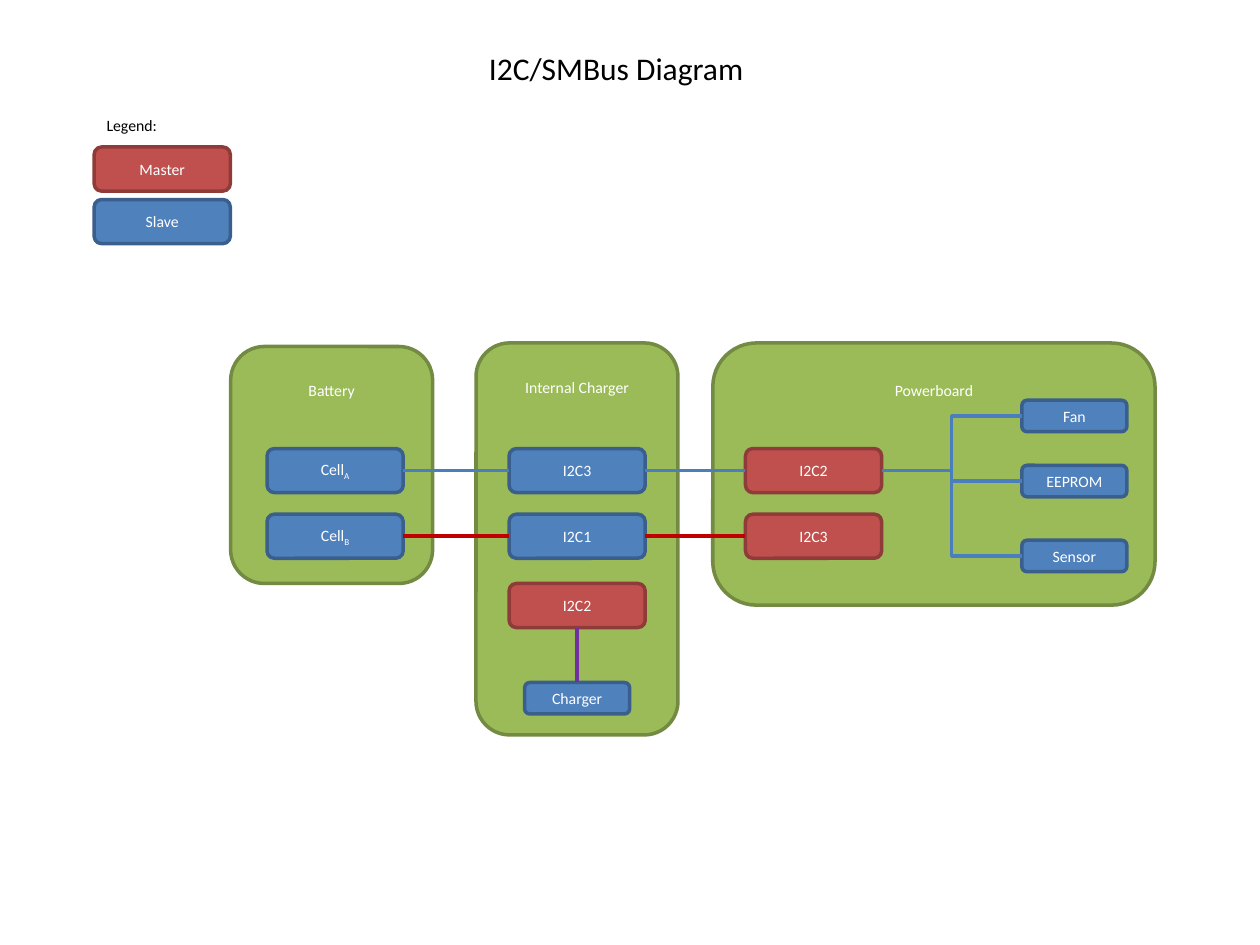
from dataclasses import dataclass

from lxml import etree
from pptx import Presentation
from pptx.dml.color import RGBColor
from pptx.enum.shapes import MSO_CONNECTOR, MSO_SHAPE
from pptx.enum.text import MSO_ANCHOR, PP_ALIGN
from pptx.oxml.ns import qn
from pptx.util import Pt

ROUNDED = MSO_SHAPE.ROUNDED_RECTANGLE
STRAIGHT, ELBOW = MSO_CONNECTOR.STRAIGHT, MSO_CONNECTOR.ELBOW
LEFT, CENTER = PP_ALIGN.LEFT, PP_ALIGN.CENTER
TOP, MIDDLE = MSO_ANCHOR.TOP, MSO_ANCHOR.MIDDLE
SIDE_TOP, SIDE_LEFT, SIDE_BOTTOM, SIDE_RIGHT = range(4)


@dataclass(frozen=True)
class Theme:
    font: str = "Calibri"
    title_size: int = 18
    text_size: int = 9
    line_width: int = 2
    dark_text: str = "000000"
    light_text: str = "FFFFFF"
    # Fill and outline pairs
    board: tuple = ("9BBB59", "738A42")
    master: tuple = ("C0504D", "8E3B39")
    slave: tuple = ("4F81BD", "3A5F8C")
    # Bus colours
    blue_bus: str = "4B7EBC"
    red_bus: str = "C00000"
    purple_bus: str = "7030A0"


THEME = Theme()
NODE_SIZE = (77.8, 25.2)
CHIP_SIZE = (60, 18)
BOARD_TOP_MARGIN = 14

# Columns and rows shared by the nodes
LEGEND_X, CELL_X, CHARGER_X, POWER_X, CHIP_X = 53.8, 152.6, 290.9, 426, 583.9
ROW_1, ROW_2, ROW_3 = 256.3, 293.8, 333.4


def color(value):
    return RGBColor.from_string(value)


def format_text(text_frame, size, text_color, alignment):
    for paragraph in text_frame.paragraphs:
        paragraph.alignment = alignment
        for run in paragraph.runs:
            run.font.name = THEME.font
            run.font.size = Pt(size)
            run.font.color.rgb = color(text_color)


def add_box(slide, text, left, top, size, colors, subscript=""):
    """Add a rounded box with centred light text."""
    shape = slide.shapes.add_shape(ROUNDED, Pt(left), Pt(top), *map(Pt, size))
    shape.shadow.inherit = False
    fill, outline = colors
    shape.fill.solid()
    shape.fill.fore_color.rgb = color(fill)
    shape.line.color.rgb = color(outline)
    shape.line.width = Pt(THEME.line_width)
    text_frame = shape.text_frame
    text_frame.text = text
    text_frame.vertical_anchor = MIDDLE
    if subscript:
        run = text_frame.paragraphs[0].add_run()
        run.text = subscript
        run._r.get_or_add_rPr().set("baseline", "-25000")
    format_text(text_frame, THEME.text_size, THEME.light_text, CENTER)
    return shape


def add_board(slide, text, left, top, size):
    """Add a large green box with its name near the top."""
    board = add_box(slide, text, left, top, size, THEME.board)
    board.text_frame.vertical_anchor = TOP
    board.text_frame.margin_top = Pt(BOARD_TOP_MARGIN)


def add_bus(slide, start, end, bus_color, kind=STRAIGHT,
            sides=(SIDE_RIGHT, SIDE_LEFT)):
    """Join two boxes with a bus line."""
    connector = slide.shapes.add_connector(kind, 0, 0, 0, 0)
    connector.begin_connect(start, sides[0])
    connector.end_connect(end, sides[1])
    connector.line.color.rgb = color(bus_color)
    connector.line.width = Pt(THEME.line_width)
    etree.SubElement(connector._element.spPr, qn("a:effectLst"))


def add_title(slide, text):
    title = slide.shapes.title
    title.left, title.top = Pt(271.5), Pt(24.5)
    title.width, title.height = Pt(161.3), Pt(29)
    title.text_frame.text = text
    title.text_frame.word_wrap = False
    title.text_frame.vertical_anchor = MIDDLE
    format_text(title.text_frame, THEME.title_size, THEME.dark_text, CENTER)


def add_legend(slide):
    label = slide.shapes.add_textbox(Pt(LEGEND_X), Pt(62.8), Pt(44), Pt(18))
    label.text_frame.text = "Legend:"
    label.text_frame.word_wrap = False
    format_text(label.text_frame, THEME.text_size, THEME.dark_text, LEFT)
    add_box(slide, "Master", LEGEND_X, 84, NODE_SIZE, THEME.master)
    add_box(slide, "Slave", LEGEND_X, 114, NODE_SIZE, THEME.slave)


def add_diagram(slide):
    # Boards
    add_board(slide, "Battery", 131.8, 198, (115.4, 135.4))
    add_board(slide, "Internal Charger", 272, 196, (115.4, 224))
    add_board(slide, "Powerboard", 407.3, 196, (252.7, 149.8))

    # Nodes on the three boards
    cell_a = add_box(slide, "Cell", CELL_X, ROW_1, NODE_SIZE, THEME.slave, "A")
    cell_b = add_box(slide, "Cell", CELL_X, ROW_2, NODE_SIZE, THEME.slave, "B")
    charger_3 = add_box(slide, "I2C3", CHARGER_X, ROW_1, NODE_SIZE, THEME.slave)
    charger_1 = add_box(slide, "I2C1", CHARGER_X, ROW_2, NODE_SIZE, THEME.slave)
    charger_2 = add_box(slide, "I2C2", CHARGER_X, ROW_3, NODE_SIZE, THEME.master)
    power_2 = add_box(slide, "I2C2", POWER_X, ROW_1, NODE_SIZE, THEME.master)
    power_3 = add_box(slide, "I2C3", POWER_X, ROW_2, NODE_SIZE, THEME.master)
    chip_x = CHARGER_X + (NODE_SIZE[0] - CHIP_SIZE[0]) / 2
    charger_chip = add_box(slide, "Charger", chip_x, 390, CHIP_SIZE, THEME.slave)

    # Buses between the boards
    for nodes, bus_color in (
        ((cell_a, charger_3, power_2), THEME.blue_bus),
        ((cell_b, charger_1, power_3), THEME.red_bus),
    ):
        for start, end in zip(nodes, nodes[1:]):
            add_bus(slide, start, end, bus_color)
    add_bus(slide, charger_2, charger_chip, THEME.purple_bus,
            sides=(SIDE_BOTTOM, SIDE_TOP))

    # Powerboard chips, each on a branch of one bus
    for text, top in (("Fan", 228.7), ("EEPROM", 265.9), ("Sensor", 308.7)):
        chip = add_box(slide, text, CHIP_X, top, CHIP_SIZE, THEME.slave)
        add_bus(slide, power_2, chip, THEME.blue_bus, ELBOW)


def main():
    presentation = Presentation()
    presentation.slide_width, presentation.slide_height = Pt(720), Pt(540)
    title_only = presentation.slide_layouts[5]
    slide = presentation.slides.add_slide(title_only)
    add_title(slide, "I2C/SMBus Diagram")
    add_legend(slide)
    add_diagram(slide)
    presentation.save("out.pptx")


if __name__ == "__main__":
    main()
